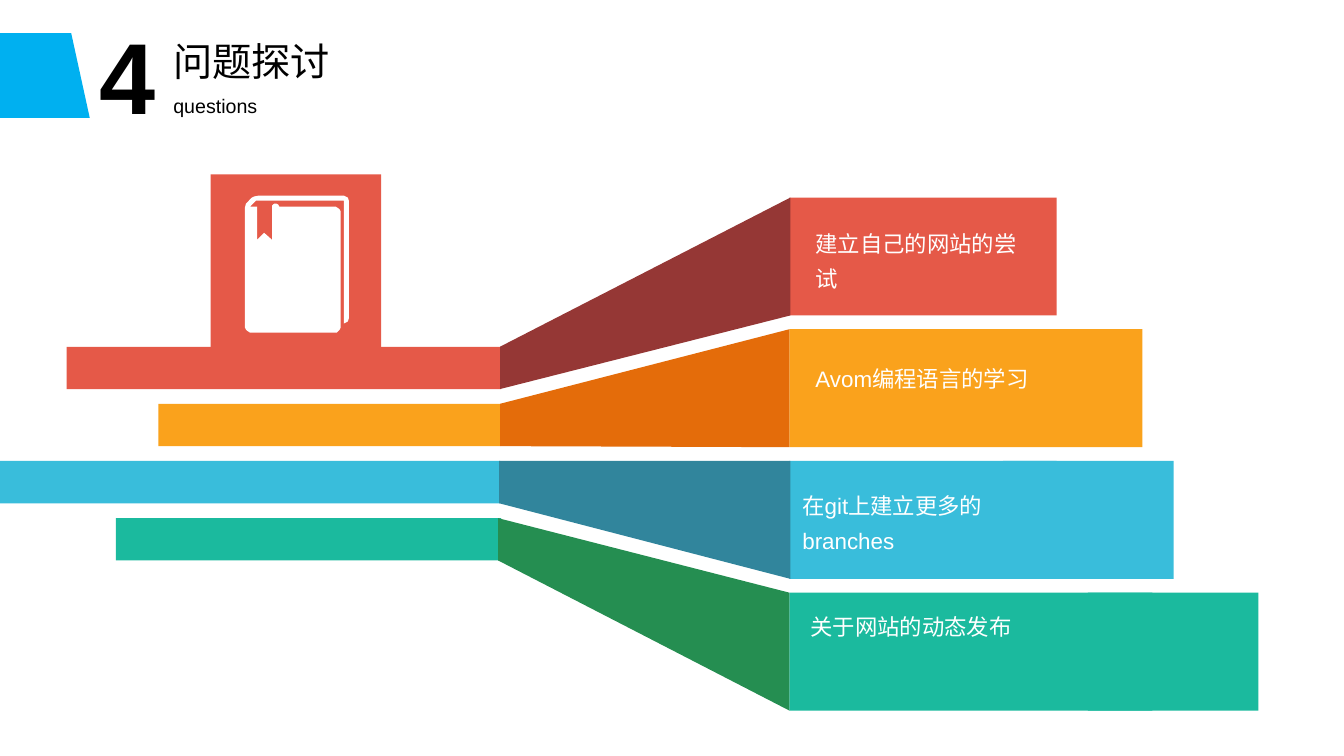
import pptx
import pptx.util
import pptx.dml.color
import pptx.enum.shapes
import pptx.enum.text

Inches = pptx.util.Inches
MSO_SHAPE = pptx.enum.shapes.MSO_SHAPE

COLORS = {
    "sky": "00B0F0", "black": "000000", "white": "FFFFFF",
    "red": "E55948", "red_fold": "953735",
    "orange": "FAA21C", "orange_fold": "E46C0A",
    "blue": "39BDDB", "blue_fold": "31859C",
    "green": "1BBA9E", "green_fold": "258E51",
}

deck = pptx.Presentation()
deck.slide_width = Inches(13.33)
deck.slide_height = Inches(7.5)
slide = deck.slides.add_slide(deck.slide_layouts[6])


def paint(figure, color):
    figure.shadow.inherit = False
    figure.fill.solid()
    figure.fill.fore_color.rgb = pptx.dml.color.RGBColor.from_string(COLORS[color])
    figure.line.fill.background()


def write(words, box, size, color, bold=False, spacing=1.0):
    frame = slide.shapes.add_textbox(*map(Inches, box)).text_frame
    frame.word_wrap = True
    frame.auto_size = pptx.enum.text.MSO_AUTO_SIZE.SHAPE_TO_FIT_TEXT
    paragraph = frame.paragraphs[0]
    paragraph.line_spacing = spacing
    run = paragraph.add_run()
    run.text = words
    font_format = {"name": "Arial", "size": pptx.util.Pt(size), "bold": bold}
    for attribute, value in font_format.items():
        setattr(run.font, attribute, value)
    run.font.color.rgb = pptx.dml.color.RGBColor.from_string(COLORS[color])


title_tab = slide.shapes.add_shape(
    MSO_SHAPE.FLOWCHART_MANUAL_INPUT, *map(Inches, (0.01, 0.29, 0.84, 0.92)))
title_tab.rotation = 90
paint(title_tab, "sky")
write("4", (0.89, 0.09, 1.46, 1.31), 72, "black", bold=True)
write("问题探讨", (1.62, 0.32, 1.79, 0.57), 28, "black")
write("questions", (1.62, 0.88, 2.98, 0.34), 14, "black")

BAND_TOP, BAND_STEP, BAND_HEIGHT = 3.44, 1.7 / 3, 0.42
PANEL_TOP, PANEL_STEP, PANEL_HEIGHT = 1.96, 3.92 / 3, 1.17
PANEL_LEFT = 7.83

topics = [
    ("red", 0.66, 4.31, 4.96, 7.84, 2.65, None,
     "建立自己的网站的尝试", (7.99, 2.15, 2.36, 0.8)),
    ("orange", 1.57, 3.39, 4.96, 7.83, 3.5, None,
     "Avom编程语言的学习", (7.99, 3.49, 2.36, 0.45)),
    ("blue", -0.02, 4.98, 4.95, 7.84, 2.65, 9.95,
     "在git上建立更多的branches", (7.86, 4.75, 2.36, 0.8)),
    ("green", 1.15, 3.82, 4.94, 7.83, 3.6, 10.79,
     "关于网站的动态发布", (7.94, 5.95, 2.36, 0.41)),
]

for row, (color, band_left, band_width, fold_left, fold_right,
          panel_width, extension_left, words, words_box) in enumerate(topics):
    band_top = BAND_TOP + row * BAND_STEP
    panel_top = PANEL_TOP + row * PANEL_STEP
    bars = [(PANEL_LEFT, panel_top, panel_width, PANEL_HEIGHT),
            (band_left, band_top, band_width, BAND_HEIGHT)]
    if extension_left:
        bars.append((extension_left, panel_top, 1.69, PANEL_HEIGHT))
    for bar in bars:
        paint(slide.shapes.add_shape(MSO_SHAPE.RECTANGLE, *map(Inches, bar)), color)

    fold = slide.shapes.build_freeform(Inches(fold_left), Inches(band_top))
    fold.add_line_segments([
        (Inches(fold_left), Inches(band_top + BAND_HEIGHT)),
        (Inches(fold_right), Inches(panel_top + PANEL_HEIGHT)),
        (Inches(fold_right), Inches(panel_top)),
    ])
    paint(fold.convert_to_shape(), color + "_fold")
    write(words, words_box, 16, "white", spacing=1.3)

book_tile = slide.shapes.add_shape(
    MSO_SHAPE.RECTANGLE, *map(Inches, (2.09, 1.73, 1.69, 1.75)))
paint(book_tile, "red")

book_outline = [
    (3.41, 1.94), (2.57, 1.94), (2.52, 1.95), (2.5, 1.96), (2.47, 1.99),
    (2.44, 2.02), (2.43, 2.06), (2.43, 3.25), (2.44, 3.27), (2.45, 3.28),
    (2.48, 3.3), (3.34, 3.3), (3.36, 3.28), (3.37, 3.27), (3.38, 3.25),
    (3.38, 2.1), (3.37, 2.08), (3.36, 2.07), (3.33, 2.05), (2.77, 2.05),
    (2.76, 2.03), (2.74, 2.02), (2.72, 2.02), (2.7, 2.04), (2.7, 2.38),
    (2.62, 2.31), (2.55, 2.38), (2.55, 2.05), (2.48, 2.05), (2.54, 1.99),
    (3.41, 1.99), (3.41, 3.21), (3.45, 3.19), (3.46, 3.16), (3.46, 1.99),
    (3.45, 1.96), (3.43, 1.95),
]
corners = [(Inches(x), Inches(y)) for x, y in book_outline]
book = slide.shapes.build_freeform(*corners[0])
book.add_line_segments(corners[1:])
paint(book.convert_to_shape(), "white")

deck.save("out.pptx")
